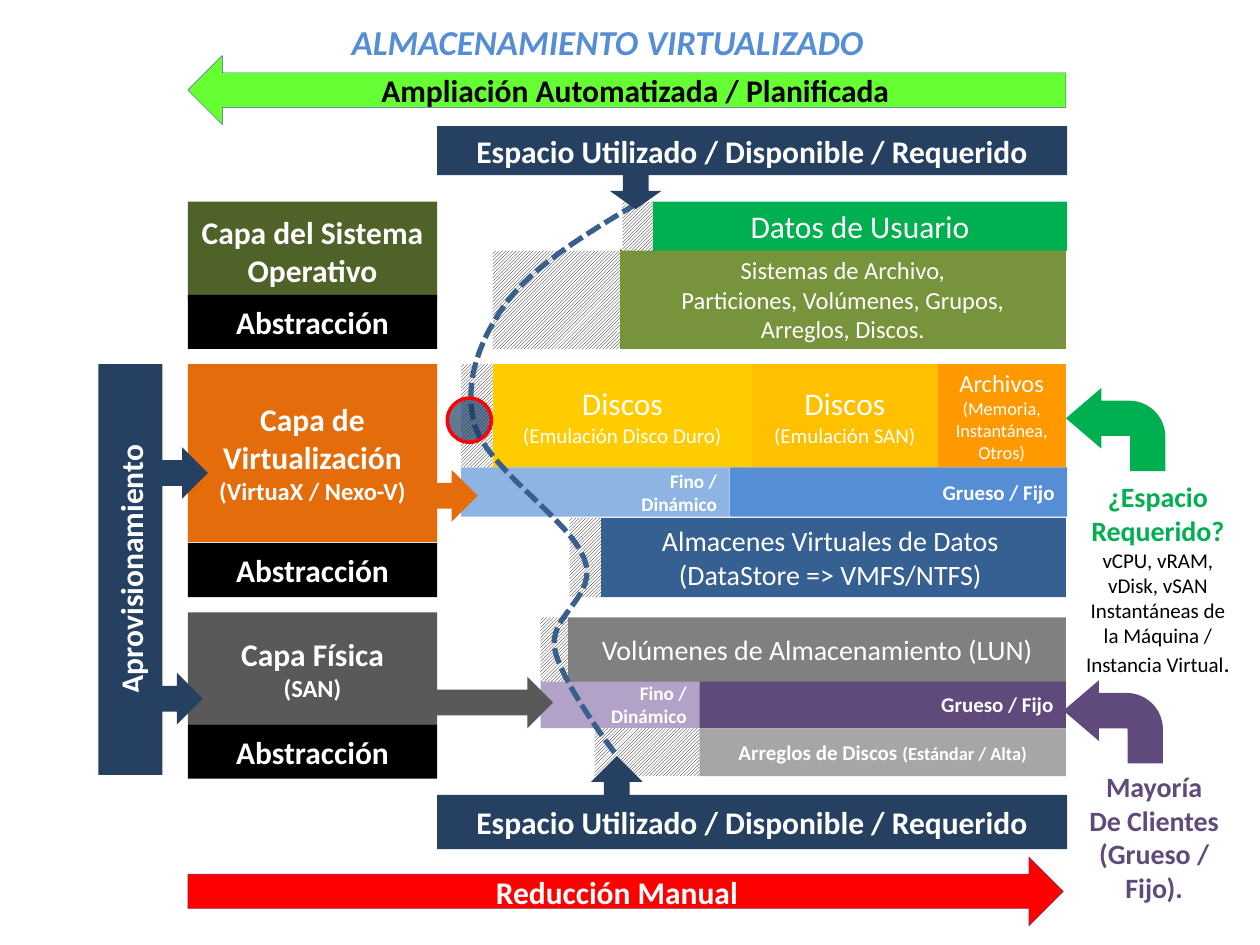
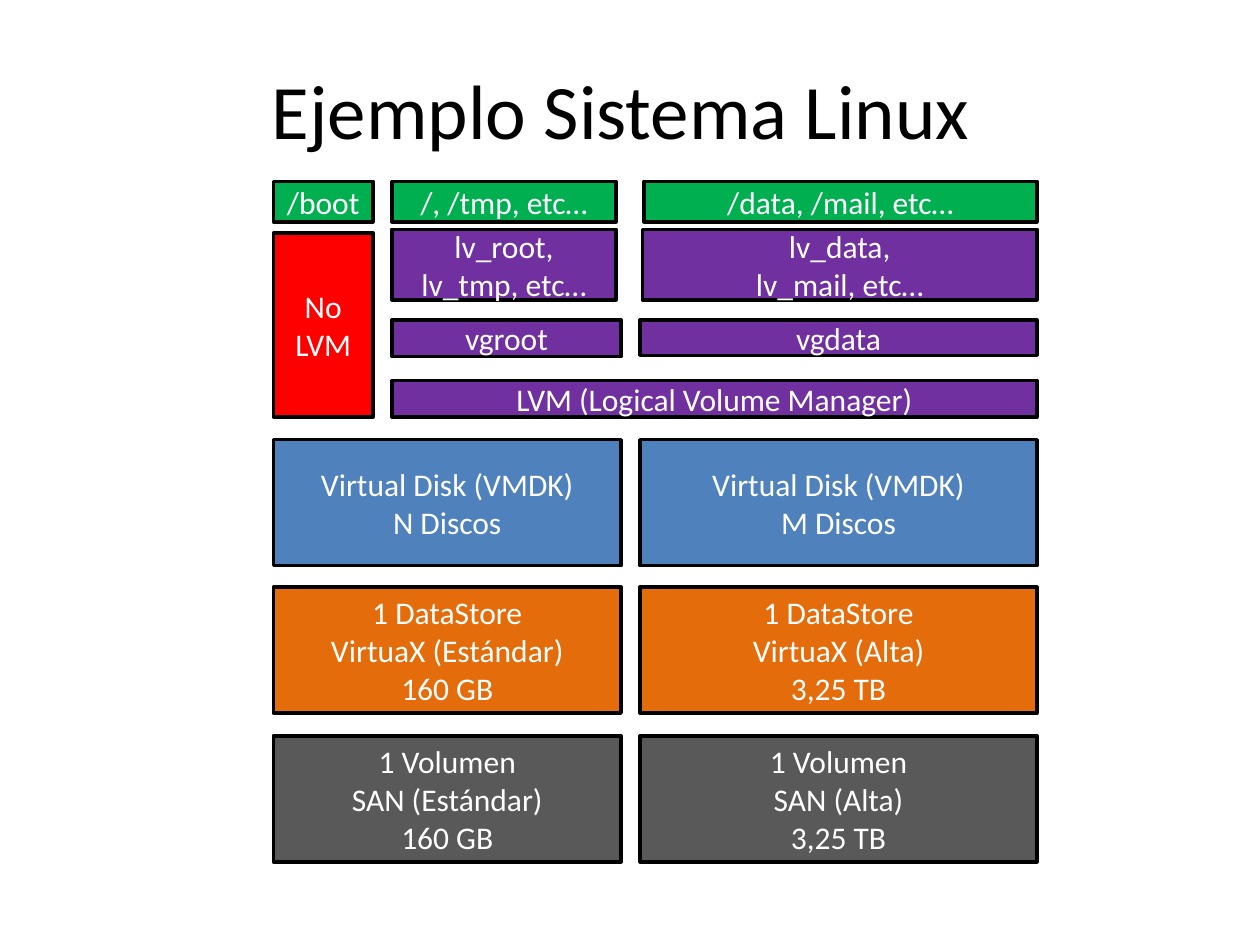
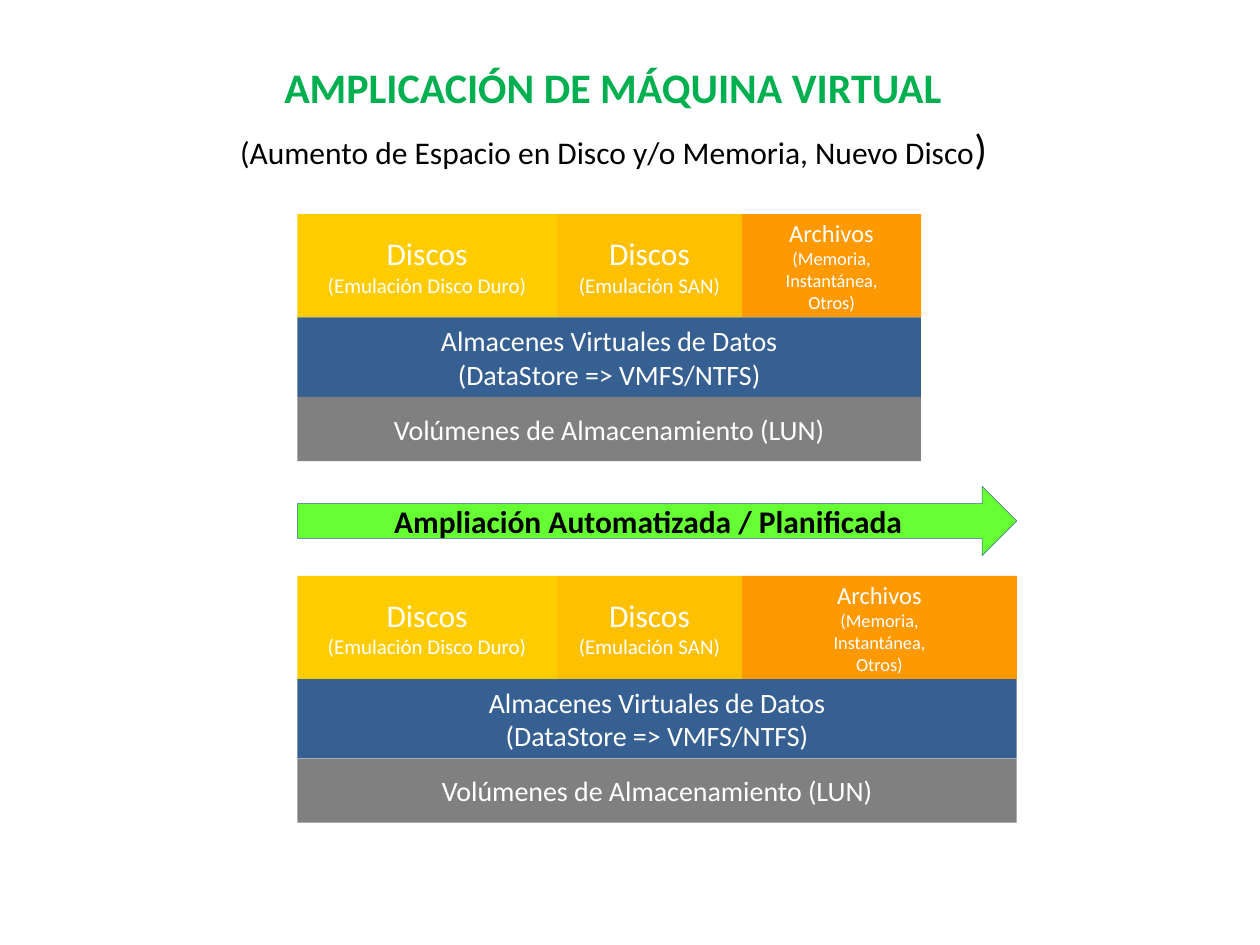
from lxml import etree
from pptx import Presentation
from pptx.dml.color import RGBColor
from pptx.enum.dml import MSO_LINE, MSO_PATTERN
from pptx.enum.shapes import MSO_SHAPE
from pptx.enum.text import MSO_ANCHOR, MSO_AUTO_SIZE, PP_ALIGN
from pptx.oxml.ns import qn
from pptx.util import Inches, Pt

RECT = MSO_SHAPE.RECTANGLE
RIGHT_ARROW, LEFT_ARROW = MSO_SHAPE.RIGHT_ARROW, MSO_SHAPE.LEFT_ARROW
UP_ARROW, DOWN_ARROW = MSO_SHAPE.UP_ARROW, MSO_SHAPE.DOWN_ARROW
BENT_ARROW, OVAL = MSO_SHAPE.BENT_ARROW, MSO_SHAPE.OVAL
LEFT, CENTER, RIGHT = PP_ALIGN.LEFT, PP_ALIGN.CENTER, PP_ALIGN.RIGHT
TOP, MIDDLE = MSO_ANCHOR.TOP, MSO_ANCHOR.MIDDLE
UPWARD_HATCH, SHORT_DASH = MSO_PATTERN.DARK_UPWARD_DIAGONAL, MSO_LINE.SQUARE_DOT
NO_AUTOFIT = MSO_AUTO_SIZE.NONE

FONT = "Calibri"
BLACK, WHITE, NAVY = "000000", "FFFFFF", "254061"
GREEN, LIME, RED = "00B050", "66FF33", "FF0000"
ORANGE, GREY, LUN_GREY = "E46C0A", "595959", "808080"
STORE_BLUE, SKY_BLUE, EDGE_BLUE = "376092", "558ED5", "3A5F8C"
PURPLE, LVM_PURPLE = "604A7B", "7030A0"
HATCH = "hatch"

EXPANSION = "Ampliación Automatizada / Planificada"
DATASTORES = "Almacenes Virtuales de Datos\n(DataStore => VMFS/NTFS)"
LUNS = "Volúmenes de Almacenamiento (LUN)"
# Disk contents: text, sizes, fill, offset in the stack; the last one fills the rest
DISKS = [
    ("Discos\n(Emulación Disco Duro)", (18, 12), "FFCC00", 0, 2.06),
    ("Discos\n(Emulación SAN)", (18, 12), "FFC000", 2.06, 1.47),
    ("Archivos\n(Memoria,\nInstantánea,\nOtros)", (14, 10.5), "FF9900", 3.53, None),
]


def write(frame, text, sizes, color=WHITE, bold=False, italic=False,
          align=CENTER, anchor=MIDDLE, tail=None):
    """Fill a frame; the last size serves all remaining paragraphs."""
    frame.text = text
    frame.word_wrap = True
    frame.auto_size = NO_AUTOFIT
    frame.vertical_anchor = anchor
    if tail:
        frame.paragraphs[-1].add_run().text = tail[0]
    for i, paragraph in enumerate(frame.paragraphs):
        paragraph.alignment = align
        for run in paragraph.runs:
            font = run.font
            font.name, font.bold, font.italic = FONT, bold, italic
            font.size = Pt(sizes[min(i, len(sizes) - 1)])
            font.color.rgb = RGBColor.from_string(color)
    if tail:
        frame.paragraphs[-1].runs[-1].font.size = Pt(tail[1])


def block(slide, kind, box, fill, text="", sizes=(18,), line=None, width=2, **style):
    shape = slide.shapes.add_shape(kind, *map(Inches, box))
    shape.shadow.inherit = False
    if fill == HATCH:
        shape.fill.patterned()
        shape.fill.pattern = UPWARD_HATCH
        shape.fill.fore_color.rgb = RGBColor.from_string(BLACK)
        shape.fill.back_color.rgb = RGBColor.from_string(WHITE)
    else:
        shape.fill.solid()
        shape.fill.fore_color.rgb = RGBColor.from_string(fill)
    if line:
        shape.line.color.rgb = RGBColor.from_string(line)
        shape.line.width = Pt(width)
    else:
        shape.line.fill.background()
    if text:
        write(shape.text_frame, text, sizes, **style)
    return shape


prs = Presentation()
prs.slide_width, prs.slide_height = Inches(10), Inches(7.5)

# Slides and their titles
titles = [
    ("ALMACENAMIENTO VIRTUALIZADO", (2.69, 0.11, 4.31, 0.44), 20,
     dict(color=SKY_BLUE, bold=True, italic=True, align=LEFT, anchor=TOP)),
    ("Ejemplo Sistema Linux", (0.43, 0.29, 9, 1.15), 44, dict(color=BLACK)),
    ("AMPLICACIÓN DE MÁQUINA VIRTUAL", (2.01, 0.44, 5.71, 0.5), 24,
     dict(color=GREEN, bold=True, anchor=TOP)),
]
slides = []
for text, box, size, style in titles:
    slide = prs.slides.add_slide(prs.slide_layouts[5])
    title = slide.shapes.title
    title.left, title.top, title.width, title.height = map(Inches, box)
    write(title.text_frame, text, (size,), **style)
    slides.append(slide)
overview, linux, expansion = slides

# Disk rows: one on the overview, two on the expansion slide
for slide, left, top, width in [(overview, 3.91, 2.89, 4.55),
                                (expansion, 2.36, 1.7, 4.95),
                                (expansion, 2.36, 4.57, 5.71)]:
    for text, sizes, fill, offset, disk_width in DISKS:
        box = (left + offset, top, disk_width or width - offset, 0.82)
        block(slide, RECT, box, fill, text, sizes)

# Overview: storage blocks
thin = "Fino /\nDinámico"
thick = "Grueso / Fijo"
provision_style = dict(bold=True, align=RIGHT)
for box, fill, text, size, style in [
    ((4.29, 5.4, 1.26, 0.38), "B3A2C7", thin, 11, provision_style),
    ((3.66, 3.71, 2.13, 0.39), "8EB4E3", thin, 11, provision_style),
    ((5.79, 3.71, 2.68, 0.39), SKY_BLUE, thick, 12, provision_style),
    ((5.55, 5.39, 2.91, 0.39), PURPLE, thick, 12, provision_style),
    ((4.72, 4.11, 3.74, 0.63), STORE_BLUE, DATASTORES, 16, {}),
    ((5.55, 5.78, 2.91, 0.38), "A6A6A6", "Arreglos de Discos ", 12,
     dict(bold=True, tail=("(Estándar / Alta)", 10.5))),
    ((4.92, 1.98, 3.54, 0.79), "77933C",
     "Sistemas de Archivo,\nParticiones, Volúmenes, Grupos,\nArreglos, Discos.", 14, {}),
    ((5.18, 1.6, 3.29, 0.39), GREEN, "Datos de Usuario", 18, {}),
]:
    block(overview, RECT, box, fill, text, (size,), **style)

# Overview: free space, with the LUN bar over its edge
for box in [(4.72, 5.78, 0.83, 0.38), (4.94, 1.6, 0.24, 0.39), (4.52, 4.11, 0.25, 0.63),
            (3.91, 1.99, 1.01, 0.78), (3.66, 2.89, 0.25, 0.82), (4.29, 4.9, 0.23, 0.51)]:
    block(overview, RECT, box, HATCH)
block(overview, RECT, (4.51, 4.9, 3.95, 0.51), LUN_GREY, LUNS, (16,))

# Overview: layers, each standing on its abstraction
for top, height, abstraction_top, fill, text in [
    (1.6, 0.78, 2.34, "4F6228", "Capa del Sistema Operativo"),
    (2.89, 1.41, 4.31, ORANGE, "Capa de Virtualización\n(VirtuaX / Nexo-V)"),
    (4.86, 0.89, 5.75, GREY, "Capa Física\n(SAN)"),
]:
    block(overview, RECT, (1.49, top, 1.98, height), fill, text, (18, 14), bold=True)
    block(overview, RECT, (1.49, abstraction_top, 1.98, 0.43), BLACK, "Abstracción", bold=True)

provisioning = block(overview, RECT, (0.78, 2.89, 0.51, 3.26), NAVY,
                     "Aprovisionamiento", bold=True)
provisioning.text_frame._txBody.bodyPr.set("vert", "vert270")

for box, fill in [((3.25, 5.37, 1.14, 0.41), GREY), ((3.27, 3.73, 0.52, 0.41), ORANGE),
                  ((1.14, 3.55, 0.51, 0.41), NAVY), ((1.1, 5.34, 0.51, 0.41), NAVY)]:
    block(overview, RIGHT_ARROW, box, fill)

# Overview: dashed curve of used space, sampled from Bézier segments
start = (5.05, 1.62)
segments = [
    ((4.64, 1.86), (4.24, 2.11), (4.02, 2.4)),
    ((3.81, 2.69), (3.67, 3.04), (3.77, 3.38)),
    ((3.87, 3.72), (4.54, 4.14), (4.64, 4.44)),
    ((4.75, 4.73), (4.36, 4.88), (4.4, 5.14)),
    ((4.44, 5.4), (4.89, 5.99), (4.89, 5.99)),
]
STEPS = 12
points = [tuple(map(Inches, start))]
for control_1, control_2, end in segments:
    corners = (start, control_1, control_2, end)
    for t in (step / STEPS for step in range(1, STEPS + 1)):
        weights = ((1 - t) ** 3, 3 * t * (1 - t) ** 2, 3 * t * t * (1 - t), t ** 3)
        points.append(tuple(Inches(sum(w * c[axis] for w, c in zip(weights, corners)))
                            for axis in (0, 1)))
    start = end
builder = overview.shapes.build_freeform(*points[0])
builder.add_line_segments(points[1:], close=False)
usage_curve = builder.convert_to_shape()
usage_curve.shadow.inherit = False
usage_curve.fill.background()
usage_curve.line.color.rgb = RGBColor.from_string(EDGE_BLUE)
usage_curve.line.width = Pt(3)
usage_curve.line.dash_style = SHORT_DASH

# Overview: space bars with their arrows, and the marked point
block(overview, UP_ARROW, (4.69, 6, 0.41, 0.51), NAVY)
block(overview, DOWN_ARROW, (4.84, 1.37, 0.41, 0.29), NAVY)
for top, height in [(1, 0.39), (6.31, 0.43)]:
    block(overview, RECT, (3.47, top, 5, height), NAVY,
          "Espacio Utilizado / Disponible / Requerido", bold=True)
marker = block(overview, OVAL, (3.55, 3.16, 0.35, 0.35), "17375E", line=RED)
marker_color = marker._element.spPr.find(qn("a:solidFill"))[0]
etree.SubElement(marker_color, qn("a:alpha")).set("val", "67000")

# Overview: growth and reduction arrows
block(overview, LEFT_ARROW, (1.49, 0.44, 6.97, 0.55), LIME, EXPANSION,
      line=EDGE_BLUE, width=0.25, color=BLACK, bold=True)
block(overview, RIGHT_ARROW, (1.49, 6.8, 6.95, 0.55), RED, "Reducción Manual",
      line=EDGE_BLUE, width=0.25, bold=True)

# Overview: side notes with bent arrows
for arrow_at, note_box, color, text, sizes, tail in [
    ((8.46, 3.08), (8.5, 3.76, 1.38, 1.68), GREEN,
     "¿Espacio\nRequerido?\nvCPU, vRAM, vDisk, vSAN\n"
     "Instantáneas de la Máquina / Instancia Virtual", (16, 16, 12), (".", 14)),
    ((8.44, 5.4), (8.47, 6.06, 1.38, 1.18), PURPLE,
     "Mayoría\nDe Clientes\n(Grueso / Fijo).", (16,), None),
]:
    arrow = block(overview, BENT_ARROW, (*arrow_at, 0.79, 0.66), color)
    for i, value in enumerate((0.425, 0.364, 0.425, 0.438)):
        arrow.adjustments[i] = value
    arrow._element.spPr.find(qn("a:xfrm")).set("flipH", "1")
    note = overview.shapes.add_textbox(*map(Inches, note_box)).text_frame
    write(note, text, sizes, color, bold=True, anchor=TOP, tail=tail)
    if tail:
        for paragraph in note.paragraphs[2:]:
            for run in paragraph.runs:
                run.font.bold = False
                run.font.color.rgb = RGBColor.from_string(BLACK)

# Linux example: /boot column, then system and data columns
for box, fill, text in [
    ((2.17, 1.44, 0.79, 0.32), GREEN, "/boot"),
    ((2.17, 1.85, 0.79, 1.46), RED, "No\nLVM"),
    ((3.11, 1.44, 1.78, 0.32), GREEN, "/, /tmp, etc…"),
    ((5.11, 1.44, 3.12, 0.32), GREEN, "/data, /mail, etc…"),
    ((3.11, 1.82, 1.78, 0.56), LVM_PURPLE, "lv_root, lv_tmp, etc…"),
    ((5.1, 1.82, 3.13, 0.56), LVM_PURPLE, "lv_data,\nlv_mail, etc…"),
    ((3.11, 2.54, 1.82, 0.29), LVM_PURPLE, "vgroot"),
    ((5.08, 2.54, 3.15, 0.28), LVM_PURPLE, "vgdata"),
    ((3.11, 3.02, 5.12, 0.29), LVM_PURPLE, "LVM (Logical Volume Manager)"),
]:
    block(linux, RECT, box, fill, text, line=BLACK)

# Linux example: disks, data stores and volumes of both tiers
for left, width, disks, tier, capacity in [(2.17, 2.76, "N", "Estándar", "160 GB"),
                                           (5.08, 3.15, "M", "Alta", "3,25 TB")]:
    for top, fill, text in [
        (3.49, "4F81BD", f"Virtual Disk (VMDK)\n{disks} Discos"),
        (4.66, ORANGE, f"1 DataStore\nVirtuaX ({tier})\n{capacity}"),
        (5.84, GREY, f"1 Volumen\nSAN ({tier})\n{capacity}"),
    ]:
        block(linux, RECT, (left, top, width, 1), fill, text, line=BLACK)

# Expansion: subtitle, layers under the disks, and the growth arrow
subtitle = expansion.shapes.add_textbox(*map(Inches, (1.77, 0.92, 6.2, 0.5))).text_frame
write(subtitle, "(Aumento de Espacio en Disco y/o Memoria, Nuevo Disco", (18,), BLACK,
      anchor=TOP, tail=(")", 24))
subtitle.word_wrap = False
for top, width in [(2.52, 4.95), (5.39, 5.71)]:
    block(expansion, RECT, (2.36, top, width, 0.63), STORE_BLUE, DATASTORES, (16,))
    block(expansion, RECT, (2.36, top + 0.63, width, 0.51), LUN_GREY, LUNS, (16,))
block(expansion, RIGHT_ARROW, (2.36, 3.86, 5.71, 0.55), LIME, EXPANSION,
      line=EDGE_BLUE, width=0.25, color=BLACK, bold=True)

prs.save("out.pptx")
